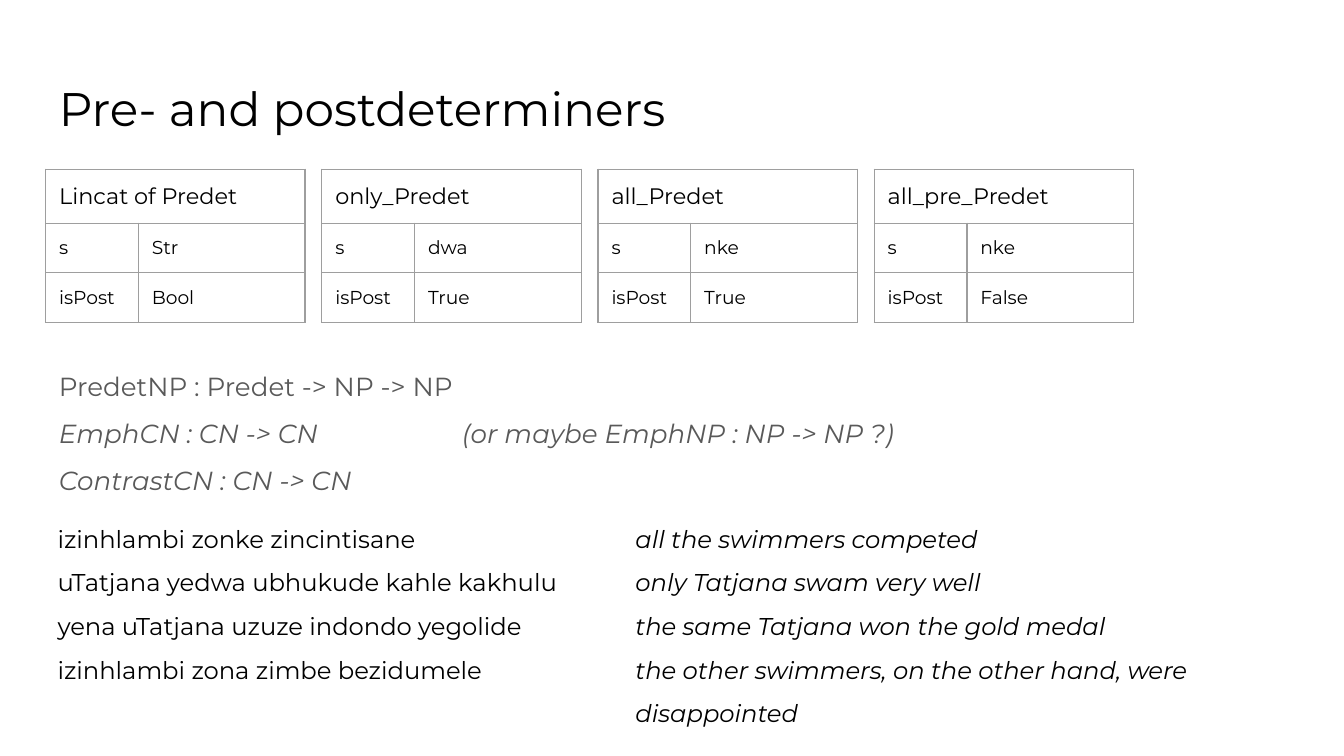
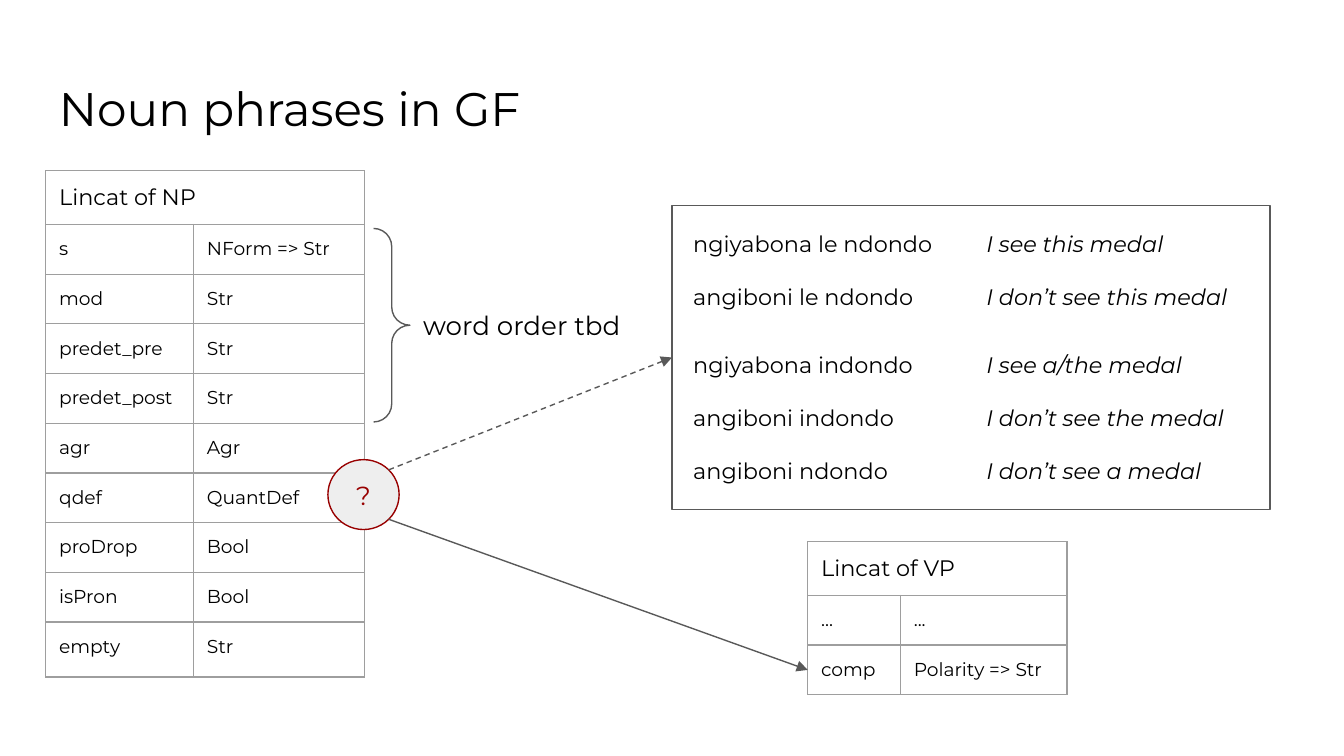
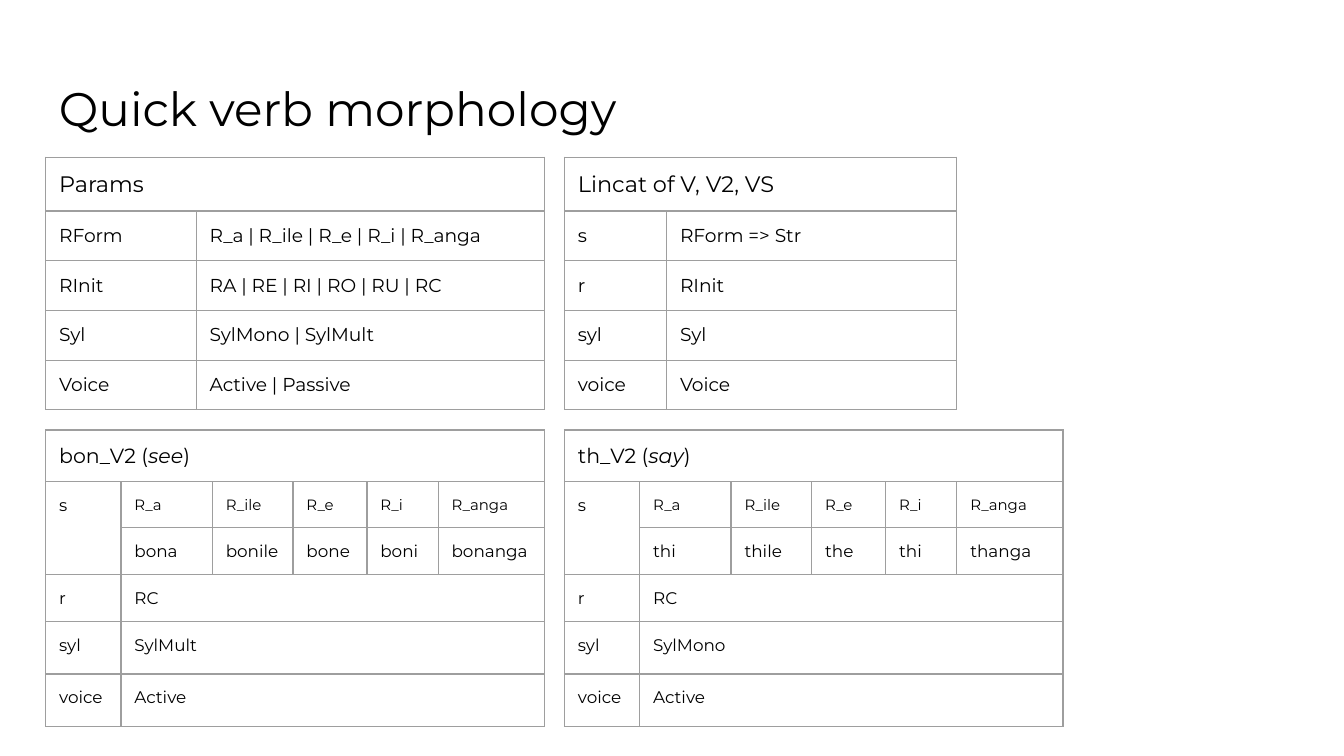
from dataclasses import dataclass
from itertools import accumulate
from math import cos, pi, sin

from lxml import etree
from pptx import Presentation
from pptx.dml.color import RGBColor
from pptx.enum.dml import MSO_LINE
from pptx.enum.shapes import MSO_CONNECTOR, MSO_SHAPE
from pptx.enum.text import MSO_ANCHOR, PP_ALIGN
from pptx.oxml.ns import qn
from pptx.util import Inches, Pt

RECTANGLE, ELLIPSE, BRACE = MSO_SHAPE.RECTANGLE, MSO_SHAPE.OVAL, MSO_SHAPE.RIGHT_BRACE
STRAIGHT, DASH = MSO_CONNECTOR.STRAIGHT, MSO_LINE.DASH
TOP, MIDDLE, BOTTOM = MSO_ANCHOR.TOP, MSO_ANCHOR.MIDDLE, MSO_ANCHOR.BOTTOM
CENTER = PP_ALIGN.CENTER
LEFT_SIDE = 1

BLACK = RGBColor(0x00, 0x00, 0x00)
GREY = RGBColor(0x59, 0x59, 0x59)
BORDER = RGBColor(0x9E, 0x9E, 0x9E)
PALE = RGBColor(0xEE, 0xEE, 0xEE)
RED = RGBColor(0x98, 0x00, 0x00)

FONT = "Montserrat"
THIN = Pt(0.75)
INSET = Inches(0.1)

# The page is a grid of 100 square columns; every length counts grid units.
WIDTH = Inches(10)
HEIGHT = WIDTH * 9 // 16
UNIT = WIDTH // 100

MARGIN = 3.4
HEADER_ROW, FIELD_ROW = 4, 3.7
SMALL_RECORD = (6.9, 12.4)


def units(count):
    return round(count * UNIT)


@dataclass
class Box:
    left: float
    top: float
    width: float
    height: float

    def place(self):
        return [units(n) for n in (self.left, self.top, self.width, self.height)]

    def rim(self, degrees):
        """Point on the ellipse inside the box, clockwise from the right."""
        angle = degrees * pi / 180
        return (self.left + self.width / 2 * (1 + cos(angle)),
                self.top + self.height / 2 * (1 + sin(angle)))


TITLE_BOX = Box(MARGIN, 4.9, 93.2, 6.3)


def write(para, text, size, color=BLACK, italic=False):
    span = para.add_run()
    span.text = text
    font = span.font
    font.name, font.size, font.italic = FONT, Pt(size), italic
    font.color.rgb = color


def set_insets(target):
    target.margin_left = target.margin_right = INSET
    target.margin_top = target.margin_bottom = INSET


def add_lines(page, box, lines, size, color=BLACK, italic=False, spacing=1, gap=0):
    """Text box with one paragraph a line, and gap points between them."""
    frame = page.shapes.add_textbox(*box.place()).text_frame
    frame.word_wrap = True
    set_insets(frame)
    for index, line in enumerate(lines):
        para = frame.add_paragraph() if index else frame.paragraphs[0]
        para.line_spacing = spacing
        para.space_before = Pt(gap if index else 0)
        write(para, line, size, color, italic)
    return frame


def add_page(deck, title):
    page = deck.slides.add_slide(deck.slide_layouts[6])
    add_lines(page, TITLE_BOX, [title], 25.2)
    return page


def add_outline(page, kind, box, color=GREY, fill=None):
    shape = page.shapes.add_shape(kind, *box.place())
    shape.shadow.inherit = False
    shape.line.color.rgb = color
    shape.line.width = THIN
    if fill is None:
        shape.fill.background()
    else:
        shape.fill.solid()
        shape.fill.fore_color.rgb = fill
    return shape


def add_arrow(page, start, end, dashed=False):
    points = [units(n) for n in (*start, *end)]
    arrow = page.shapes.add_connector(STRAIGHT, *points)
    arrow.line.color.rgb = GREY
    arrow.line.width = THIN
    if dashed:
        arrow.line.dash_style = DASH
    etree.SubElement(arrow.line._get_or_add_ln(), qn("a:tailEnd"), type="triangle")
    etree.SubElement(arrow._element.spPr, qn("a:effectLst"))
    return arrow


def style_cell(cell):
    set_insets(cell)
    cell.fill.background()
    properties = cell._tc.get_or_add_tcPr()
    for index, side in enumerate(("lnL", "lnR", "lnT", "lnB")):
        line = etree.Element(qn(f"a:{side}"), w=str(THIN))
        solid = etree.SubElement(line, qn("a:solidFill"))
        etree.SubElement(solid, qn("a:srgbClr"), val=str(BORDER))
        properties.insert(index, line)


def add_grid(page, left, top, columns, rows):
    """Bordered table whose first row is merged into one header cell."""
    box = Box(left, top, sum(columns), sum(rows))
    table = page.shapes.add_table(len(rows), len(columns), *box.place()).table
    table.first_row = table.horz_banding = False
    for column, width in zip(table.columns, columns):
        column.width = units(width)
    for row, height in zip(table.rows, rows):
        row.height = units(height)
    for cell in table.iter_cells():
        style_cell(cell)
    table.cell(0, 0).merge(table.cell(0, len(columns) - 1))
    return table


def write_cell(cell, text, size, anchor=TOP):
    cell.vertical_anchor = anchor
    write(cell.text_frame.paragraphs[0], text, size)


def add_record(page, left, top, columns, title, fields, last_row=FIELD_ROW):
    """Table of field names and their types or values under a title."""
    rows = [HEADER_ROW] + [FIELD_ROW] * (len(fields) - 1) + [last_row]
    table = add_grid(page, left, top, columns, rows)
    write_cell(table.cell(0, 0), title, 12)
    for row, field in enumerate(fields, 1):
        for column, text in enumerate(field):
            write_cell(table.cell(row, column), text, 10)


def add_paradigm(page, left, top, verb, meaning, forms, syllables):
    """Table of a verb's root forms, followed by its other fields."""
    table = add_grid(page, left, top, (5.6, 6.8, 6, 5.5, 5.3, 7.9),
                     (3.8, 3.4, 3.5, 3.5, 3.9, 3.9))
    header = table.cell(0, 0).text_frame.paragraphs[0]
    write(header, f"{verb} (", 11)
    write(header, meaning, 11, italic=True)
    write(header, ")", 11)

    table.cell(1, 0).merge(table.cell(2, 0))
    write_cell(table.cell(1, 0), "s", 9)
    names = ("R_a", "R_ile", "R_e", "R_i", "R_anga")
    for column, (name, form) in enumerate(zip(names, forms), 1):
        write_cell(table.cell(1, column), name, 8, BOTTOM)
        write_cell(table.cell(2, column), form, 9)

    fields = (("r", "RC"), ("syl", syllables), ("voice", "Active"))
    for row, (name, value) in enumerate(fields, 3):
        table.cell(row, 1).merge(table.cell(row, 5))
        write_cell(table.cell(row, 0), name, 9)
        write_cell(table.cell(row, 1), value, 9)


def add_functions(page, box):
    frame = add_lines(page, box, [
        "PredetNP : Predet -> NP -> NP",
        "EmphCN : CN -> CN\t(or maybe EmphNP : NP -> NP ?)",
        "ContrastCN : CN -> CN",
    ], 14, GREY, spacing=1.5)
    _, emphasis, contrast = frame.paragraphs
    for para in (emphasis, contrast):
        para.runs[0].font.italic = True
    stops = etree.SubElement(emphasis._p.get_or_add_pPr(), qn("a:tabLst"))
    etree.SubElement(stops, qn("a:tab"), pos=str(units(30)), algn="l")


def build_determiners(deck):
    page = add_page(deck, "Pre- and postdeterminers")
    records = (
        ("Lincat of Predet", "Str", "Bool"),
        ("only_Predet", "dwa", "True"),
        ("all_Predet", "nke", "True"),
        ("all_pre_Predet", "nke", "False"),
    )
    step = sum(SMALL_RECORD) + 1.25
    for index, (title, string, is_post) in enumerate(records):
        add_record(page, MARGIN + index * step, 12.6, SMALL_RECORD, title,
                   (("s", string), ("isPost", is_post)))
    add_functions(page, Box(MARGIN, 25.4, 68.5, 11.4))
    add_lines(page, Box(3.3, 36.9, 43.1, 14.1), [
        "izinhlambi zonke zincintisane",
        "uTatjana yedwa ubhukude kahle kakhulu",
        "yena uTatjana uzuze indondo yegolide",
        "izinhlambi zona zimbe bezidumele",
    ], 13, spacing=1.5)
    add_lines(page, Box(46.3, 36.9, 48.5, 17.3), [
        "all the swimmers competed",
        "only Tatjana swam very well",
        "the same Tatjana won the gold medal",
        "the other swimmers, on the other hand, were disappointed",
    ], 13, italic=True, spacing=1.5)


def add_examples(page, box):
    """Framed sentences beside their translations, in two groups."""
    frame = add_outline(page, RECTANGLE, box)
    groups = (
        (0.5, 8.4,
         ("ngiyabona le ndondo", "angiboni le ndondo"),
         ("I see this medal", "I don’t see this medal")),
        (9.5, 12.4,
         ("ngiyabona indondo", "angiboni indondo", "angiboni ndondo"),
         ("I see a/the medal", "I don’t see the medal", "I don’t see a medal")),
    )
    for offset, height, *sides in groups:
        for side, lines in enumerate(sides):
            cell = Box(box.left + 0.6 + side * 21.8, box.top + offset, 21.3, height)
            add_lines(page, cell, lines, 12, italic=side == 1, spacing=1.15, gap=12)
    return frame


def add_question(page, box):
    circle = add_outline(page, ELLIPSE, box, RED, PALE)
    frame = circle.text_frame
    set_insets(frame)
    frame.vertical_anchor = MIDDLE
    para = frame.paragraphs[0]
    para.alignment = CENTER
    write(para, "?", 14, RED)


def build_noun_phrases(deck):
    page = add_page(deck, "Noun phrases in GF")
    examples = add_examples(page, Box(50, 15.3, 44.5, 22.6))
    add_record(page, MARGIN, 12.7, (11, 12.7), "Lincat of NP", (
        ("s", "NForm => Str"),
        ("mod", "Str"),
        ("predet_pre", "Str"),
        ("predet_post", "Str"),
        ("agr", "Agr"),
        ("qdef", "QuantDef"),
        ("proDrop", "Bool"),
        ("isPron", "Bool"),
        ("empty", "Str"),
    ), last_row=4.1)

    brace = add_outline(page, BRACE, Box(27.8, 17, 2.7, 14.4))
    brace.adjustments[0] = brace.adjustments[1] = 0.5
    add_lines(page, Box(30.5, 22, 18, 4.4), ["word order tbd"], 14)

    question = Box(24.4, 34.2, 5.3, 5.2)
    add_question(page, question)
    to_examples = add_arrow(page, question.rim(-45), (50, 26.6), dashed=True)
    to_examples.end_connect(examples, LEFT_SIDE)

    left, top = 60.1, 40.3
    add_record(page, left, top, SMALL_RECORD, "Lincat of VP",
               (("...", "..."), ("comp", "Polarity => Str")))
    comp_middle = top + HEADER_ROW + FIELD_ROW * 1.5
    add_arrow(page, question.rim(45), (left, comp_middle))


def build_verbs(deck):
    page = add_page(deck, "Quick verb morphology")
    params = (11.2, 25.9)
    left, right = accumulate((MARGIN, sum(params) + 1.5))
    upper, lower = 11.7, 32
    add_record(page, left, upper, params, "Params", (
        ("RForm", "R_a | R_ile | R_e | R_i | R_anga"),
        ("RInit", "RA | RE | RI | RO | RU | RC"),
        ("Syl", "SylMono | SylMult"),
        ("Voice", "Active | Passive"),
    ))
    add_record(page, right, upper, (7.6, 21.6), "Lincat of V, V2, VS", (
        ("s", "RForm => Str"),
        ("r", "RInit"),
        ("syl", "Syl"),
        ("voice", "Voice"),
    ))
    add_paradigm(page, left, lower, "bon_V2", "see",
                 ("bona", "bonile", "bone", "boni", "bonanga"), "SylMult")
    add_paradigm(page, right, lower, "th_V2", "say",
                 ("thi", "thile", "the", "thi", "thanga"), "SylMono")


def main():
    deck = Presentation()
    deck.slide_width, deck.slide_height = WIDTH, HEIGHT
    build_determiners(deck)
    build_noun_phrases(deck)
    build_verbs(deck)
    deck.save("out.pptx")


if __name__ == "__main__":
    main()
